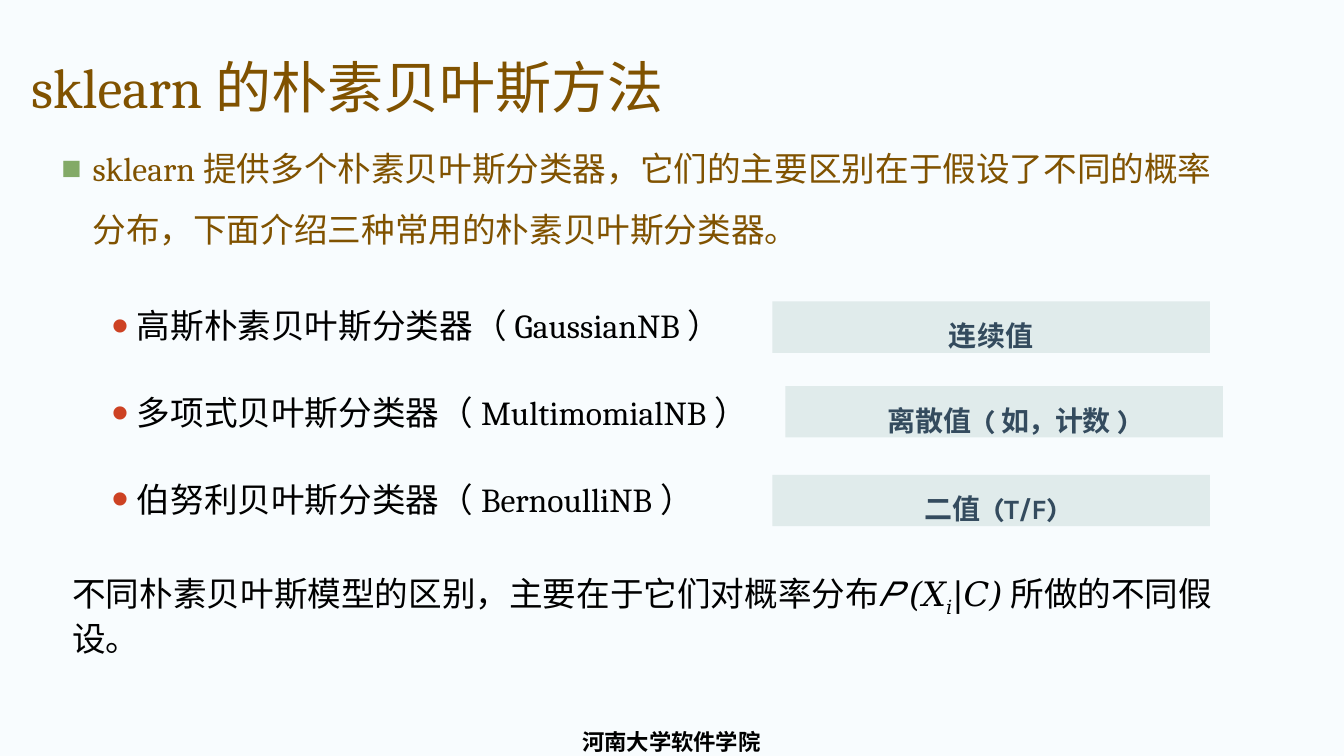
from dataclasses import dataclass
from typing import Optional

from lxml.etree import SubElement
from pptx import Presentation
from pptx.dml.color import RGBColor
from pptx.enum.shapes import MSO_SHAPE
from pptx.enum.text import MSO_ANCHOR, PP_ALIGN
from pptx.oxml.ns import qn
from pptx.util import Inches, Pt


@dataclass(frozen=True)
class Theme:
    background: str = "F8FCFE"
    brown: str = "805200"
    black: str = "000000"
    slate: str = "344B5E"
    panel: str = "E0EBEB"
    green: str = "83AA67"
    red: str = "CD4223"
    title_size: int = 40
    body_size: int = 24
    label_size: int = 20
    footer_size: int = 16
    serif: str = "Cambria"
    sans: str = "Calibri"
    math: str = "DejaVu Serif"
    label: str = "Karla"
    footer: str = "DejaVu Sans"
    chinese: str = "Noto Sans CJK SC"


@dataclass(frozen=True)
class Bullet:
    mark: str
    color: str
    left: float
    hang: float
    percent: int = 100


@dataclass(frozen=True)
class Part:
    text: str
    spacing: float = 0


@dataclass(frozen=True)
class Classifier:
    name: str
    left: float
    top: float
    values: tuple[Part, ...]
    indent: Optional[float] = None


THEME = Theme()
INTRO_BULLET = Bullet("■", THEME.green, 0.31, 0.31)
CLASSIFIER_BULLET = Bullet("•", THEME.red, 0.75, 0.25, 144)
CLASSIFIERS = (
    Classifier("高斯朴素贝叶斯分类器（GaussianNB）", 7.66, 2.99, (Part("连续值", 0.2),)),
    Classifier("多项式贝叶斯分类器（MultimomialNB）", 7.79, 3.83,
               (Part("离散值 ", -0.1), Part("(如，计数", -0.9), Part(")", -0.1)), 1.01),
    Classifier("伯努利贝叶斯分类器（BernoulliNB）", 7.66, 4.71,
               (Part("二值 ", -0.1), Part("(T/F)", -0.3))),
)


def add_text(paragraph, text: str, *, font: str, size: float, color: str,
             bold: bool = False, italic: bool = False, spacing: float = 0,
             baseline: int = 0, chinese: Optional[str] = None) -> None:
    run = paragraph.add_run()
    run.text = text
    run.font.name = font
    run.font.size = Pt(size)
    run.font.bold = bold
    run.font.italic = italic
    run.font.color.rgb = RGBColor.from_string(color)
    properties = run.font._element
    if spacing:
        properties.set("spc", str(round(spacing * 100)))
    if baseline:
        properties.set("baseline", str(baseline * 1000))
    if chinese:
        east_asian = SubElement(properties, qn("a:ea"))
        east_asian.set("typeface", chinese)


def set_bullet(paragraph, bullet: Bullet) -> None:
    properties = paragraph._p.get_or_add_pPr()
    properties.set("marL", str(Inches(bullet.left)))
    properties.set("indent", str(-Inches(bullet.hang)))
    color = SubElement(SubElement(properties, qn("a:buClr")), qn("a:srgbClr"))
    color.set("val", bullet.color)
    SubElement(properties, qn("a:buSzPct")).set("val", str(bullet.percent * 1000))
    SubElement(properties, qn("a:buFont")).set("typeface", "Arial")
    SubElement(properties, qn("a:buChar")).set("char", bullet.mark)


def add_frame(slide, left: float, top: float, width: float, height: float):
    box = slide.shapes.add_textbox(Inches(left), Inches(top), Inches(width), Inches(height))
    box.text_frame.word_wrap = True
    return box.text_frame


def add_title(slide) -> None:
    title = slide.shapes.title
    title.left, title.top = Inches(0.21), Inches(0.55)
    title.width, title.height = Inches(11.23), Inches(1.07)
    title.text_frame.vertical_anchor = MSO_ANCHOR.TOP
    heading = title.text_frame.paragraphs[0]
    heading.alignment = PP_ALIGN.LEFT
    heading.line_spacing = 0.9
    add_text(heading, "sklearn的朴素贝叶斯方法", font=THEME.serif, size=THEME.title_size,
             color=THEME.brown, chinese=THEME.chinese)


def add_body(slide) -> None:
    frame = add_frame(slide, 0.51, 1.62, 11.62, 3.18)
    frame.vertical_anchor = MSO_ANCHOR.MIDDLE
    intro = frame.paragraphs[0]
    set_bullet(intro, INTRO_BULLET)
    intro.line_spacing = 1.5
    add_text(intro, "sklearn提供多个朴素贝叶斯分类器，它们的主要区别在于假设了不同的概率"
             "分布，下面介绍三种常用的朴素贝叶斯分类器。",
             font=THEME.serif, size=THEME.body_size, color=THEME.brown)
    for index, classifier in enumerate(CLASSIFIERS):
        item = frame.add_paragraph()
        set_bullet(item, CLASSIFIER_BULLET)
        item.line_spacing = 0.9
        item.space_before = Pt(36 if index else 43.5)
        add_text(item, classifier.name, font=THEME.serif, size=THEME.body_size,
                 color=THEME.black)


def add_value_panel(slide, classifier: Classifier) -> None:
    panel = slide.shapes.add_shape(MSO_SHAPE.RECTANGLE, Inches(classifier.left),
                                   Inches(classifier.top), Inches(4.34), Inches(0.51))
    panel.shadow.inherit = False
    panel.fill.solid()
    panel.fill.fore_color.rgb = RGBColor.from_string(THEME.panel)
    panel.line.fill.background()
    frame = panel.text_frame
    frame.margin_left = frame.margin_right = frame.margin_bottom = 0
    frame.margin_top = Inches(0.17)
    frame.vertical_anchor = MSO_ANCHOR.TOP
    values = frame.paragraphs[0]
    values.alignment = PP_ALIGN.CENTER
    if classifier.indent:
        values.alignment = PP_ALIGN.LEFT
        values._p.get_or_add_pPr().set("marL", str(Inches(classifier.indent)))
    for part in classifier.values:
        add_text(values, part.text, font=THEME.label, size=THEME.label_size,
                 color=THEME.slate, bold=True, spacing=part.spacing)


def add_summary(slide) -> None:
    summary = add_frame(slide, 0.62, 5.63, 11.76, 0.5).paragraphs[0]
    plain = dict(font=THEME.sans, size=THEME.body_size, color=THEME.black)
    formula = dict(plain, font=THEME.math, italic=True)
    add_text(summary, "不同朴素贝叶斯模型的区别，主要在于它们对概率分布", **plain)
    add_text(summary, "𝑃(𝑋", **formula)
    add_text(summary, "i", baseline=-25, **formula)
    add_text(summary, "|C)", **formula)
    add_text(summary, "所做的不同假设。", **dict(plain, font=THEME.math))


def add_footer(slide) -> None:
    school = add_frame(slide, 4.93, 7.17, 3.46, 0.33).paragraphs[0]
    school.alignment = PP_ALIGN.CENTER
    add_text(school, "河南大学软件学院", font=THEME.footer, size=THEME.footer_size,
             color=THEME.black, bold=True)


def main() -> None:
    presentation = Presentation()
    presentation.slide_width, presentation.slide_height = Inches(13.33), Inches(7.5)
    slide = presentation.slides.add_slide(presentation.slide_layouts[5])
    slide.background.fill.solid()
    slide.background.fill.fore_color.rgb = RGBColor.from_string(THEME.background)
    add_footer(slide)
    add_title(slide)
    add_body(slide)
    add_summary(slide)
    for classifier in CLASSIFIERS:
        add_value_panel(slide, classifier)
    presentation.save("out.pptx")


if __name__ == "__main__":
    main()
